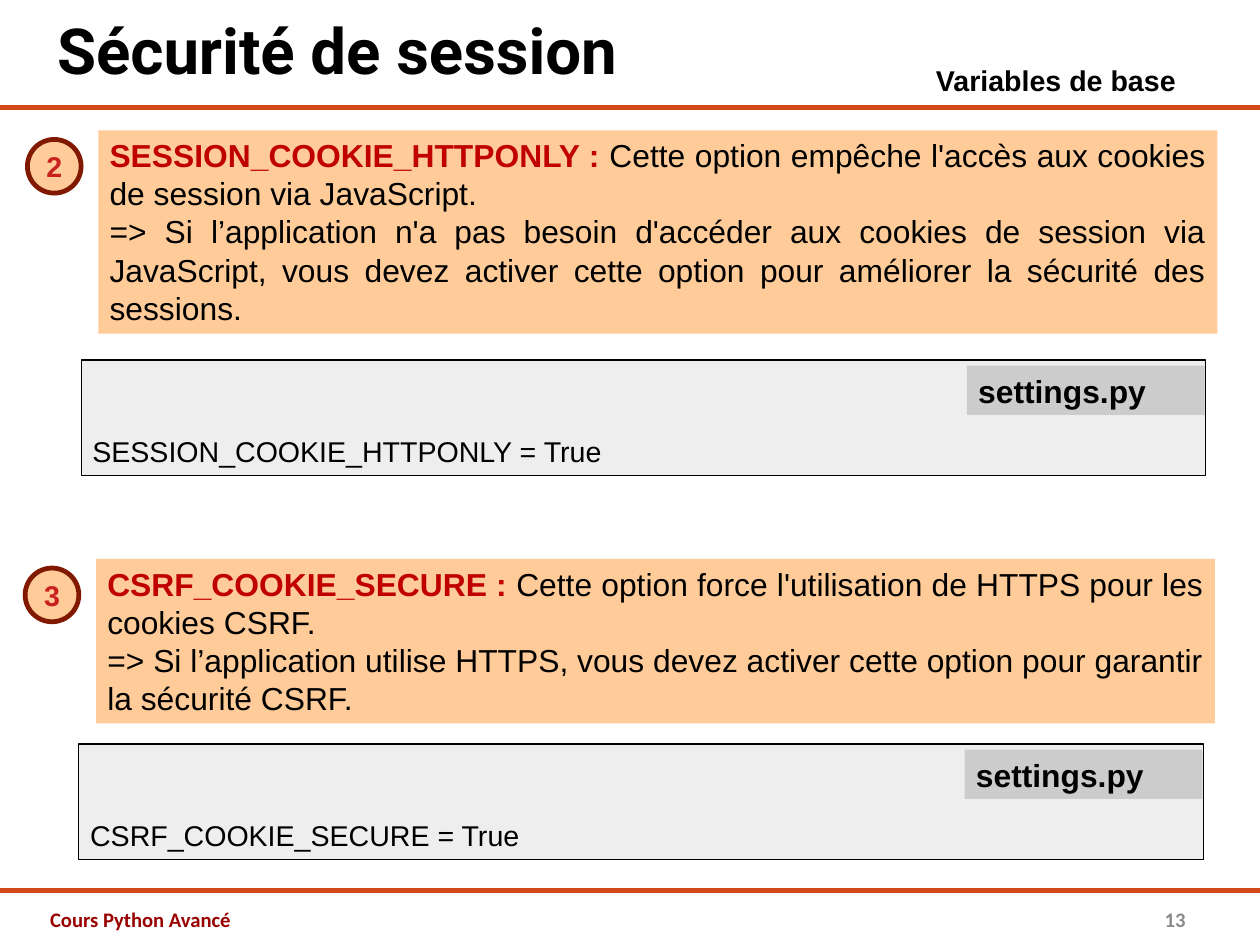
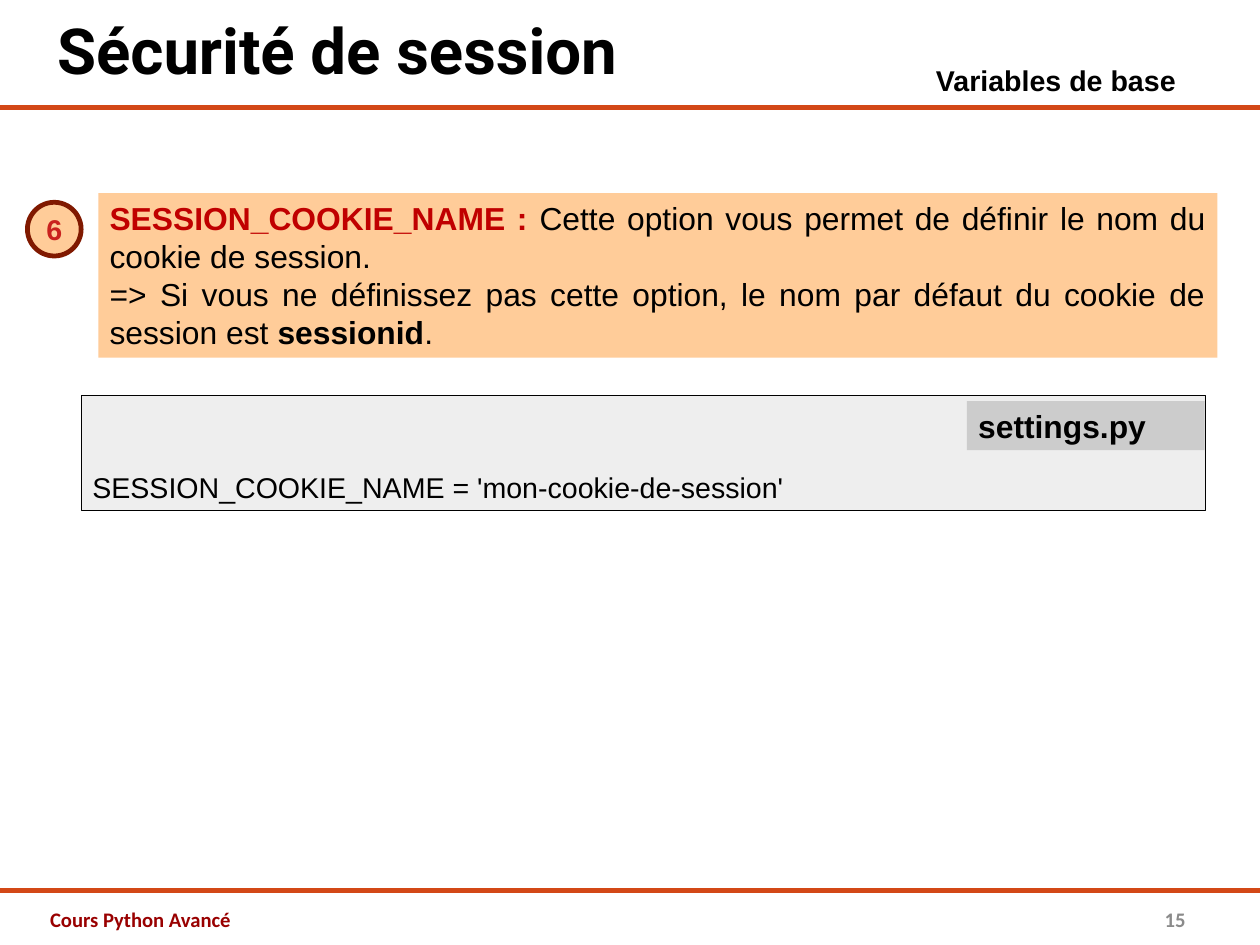
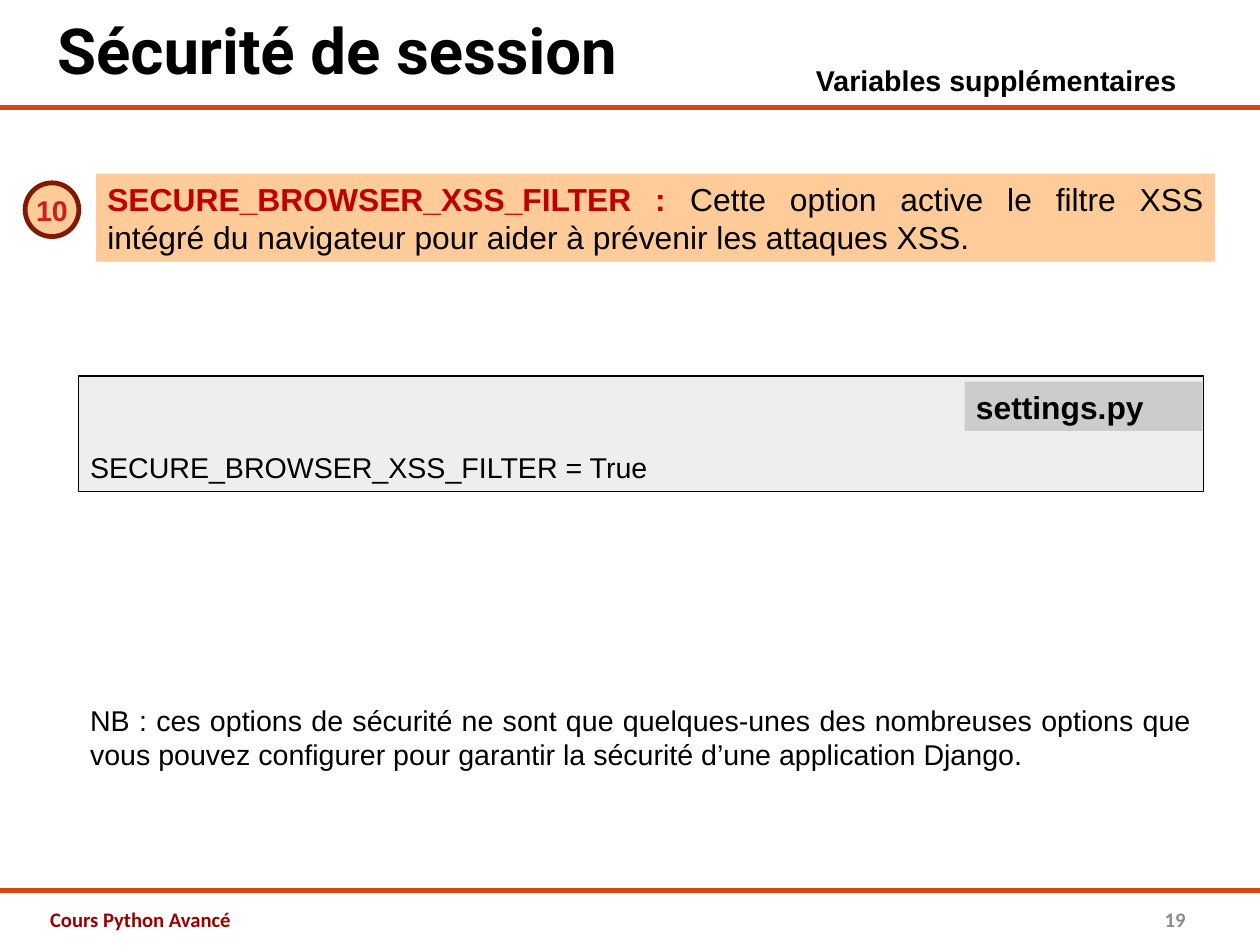
from lxml import etree
from pptx import Presentation
from pptx import util as u
from pptx.dml.color import RGBColor
from pptx.enum import shapes, text
from pptx.oxml import ns

INCH = u.Inches
ALIGN = text.PP_ALIGN
ANCHOR = text.MSO_ANCHOR


def tint(code):
    return RGBColor.from_string(code)


def write(frame, *paras, size=18, font="Arial", color="000000", bold=False,
          align=ALIGN.LEFT, anchor=ANCHOR.TOP, inset=(0.1, 0.05, 0.1, 0.05),
          wrap=True):
    frame.auto_size = text.MSO_AUTO_SIZE.NONE
    frame.word_wrap = wrap
    frame.vertical_anchor = anchor
    (frame.margin_left, frame.margin_top,
     frame.margin_right, frame.margin_bottom) = map(INCH, inset)
    for i, runs in enumerate(paras):
        para = frame.add_paragraph() if i else frame.paragraphs[0]
        para.alignment = align
        for part in [(runs, {})] if isinstance(runs, str) else runs:
            words, extra = part
            run = para.add_run()
            run.text = words
            run.font.size = u.Pt(size)
            run.font.name = font
            run.font.bold = extra.get("bold", bold)
            run.font.color.rgb = tint(extra.get("color", color))


class Deck:
    RUST = "D34817"
    PEACH = "FFCC99"
    MAROON = "801900"
    KEY = {"bold": True, "color": "C00000"}
    STRONG = {"bold": True}
    WIDE, HIGH = 28 / 2.54, 21 / 2.54

    def __init__(self):
        self.prs = Presentation()
        self.prs.slide_width = INCH(self.WIDE)
        self.prs.slide_height = INCH(self.HIGH)
        self.slide = None

    def page(self, number, topic, left, width):
        self.slide = self.prs.slides.add_slide(self.prs.slide_layouts[5])
        title = self.slide.shapes.title
        title.left, title.top, title.width, title.height = map(
            INCH, (0.4, -0.01, 9.55, 0.87))
        write(title.text_frame, "Sécurité de session", size=40, font="Roboto",
              bold=True, anchor=ANCHOR.BOTTOM, inset=(0.1, 0.05, 0.1, 0.1))
        for y in (0.94, 7.79):
            self.rule(y)
        foot = dict(size=13, font="Calibri", bold=True, anchor=ANCHOR.MIDDLE)
        self.label((0.34, 7.85, 3.49, 0.39), "Cours Python Avancé",
                   color="990000", **foot)
        self.label((7.9, 7.85, 2.57, 0.39), str(number), color="8B8B8B",
                   align=ALIGN.RIGHT, **foot)
        self.label((left, 0.5, width, 0.4), topic, bold=True)

    def rule(self, y):
        line = self.slide.shapes.add_connector(
            shapes.MSO_CONNECTOR.STRAIGHT, 0, INCH(y), INCH(self.WIDE), INCH(y))
        line.line.color.rgb = tint(self.RUST)
        line.line.width = u.Pt(3)
        etree.SubElement(line._element.spPr, ns.qn("a:effectLst"))

    def label(self, area, words, **style):
        box = self.slide.shapes.add_textbox(*map(INCH, area))
        write(box.text_frame, words, **style)

    def block(self, area, fill, *paras, kind=shapes.MSO_SHAPE.RECTANGLE,
              edge=None, weight=0, group=None, **style):
        home = (group or self.slide).shapes
        item = home.add_shape(kind, *map(INCH, area))
        item.shadow.inherit = False
        item.fill.solid()
        item.fill.fore_color.rgb = tint(fill)
        if edge:
            item.line.color.rgb = tint(edge)
            item.line.width = u.Pt(weight)
        else:
            item.line.fill.background()
        write(item.text_frame, *paras, **style)

    def badge(self, x, y, number):
        self.block((x, y, 0.47, 0.47), self.PEACH, str(number),
                   kind=shapes.MSO_SHAPE.OVAL, edge=self.MAROON, weight=3,
                   color="C9211E", bold=True, align=ALIGN.CENTER,
                   anchor=ANCHOR.MIDDLE, inset=(0.12, 0.07, 0.12, 0.07),
                   wrap=False)

    def code(self, x, y, line):
        group = self.slide.shapes.add_group_shape()
        self.block((x, y, 9.84, 1.01), "EEEEEE", line, edge="000000",
                   group=group, anchor=ANCHOR.BOTTOM,
                   inset=(0.1, 0.05, 0.1, 0.06))
        self.block((x + 7.75, y + 0.05, 2.08, 0.43), "CCCCCC", "settings.py",
                   group=group, size=20, bold=True, align=ALIGN.JUSTIFY)

    def option(self, x, y, height, number, name, value, code_y, about, *more):
        self.badge(x, y + 0.08, number)
        head = [(f"{name} :", self.KEY), (f" {about}", {})]
        self.block((x + 0.62, y, 9.79, height), self.PEACH, head, *more,
                   size=20, align=ALIGN.JUSTIFY)
        self.code(x + 0.47, code_y, f"{name} = {value}")


def main():
    deck = Deck()
    base = ("Variables de base", 8.09, 2.81)

    deck.page(13, *base)
    deck.option(
        0.24, 1.14, 1.78, 2, "SESSION_COOKIE_HTTPONLY", "True", 3.15,
        "Cette option empêche l'accès aux cookies de session via JavaScript.",
        "=> Si l’application n'a pas besoin d'accéder aux cookies de session "
        "via JavaScript, vous devez activer cette option pour améliorer la "
        "sécurité des sessions.")
    deck.option(
        0.22, 4.89, 1.44, 3, "CSRF_COOKIE_SECURE", "True", 6.51,
        "Cette option force l'utilisation de HTTPS pour les cookies CSRF.",
        "=> Si l’application utilise HTTPS, vous devez activer cette option "
        "pour garantir la sécurité CSRF.")

    deck.page(15, *base)
    deck.option(
        0.24, 1.69, 1.44, 6, "SESSION_COOKIE_NAME",
        "'mon-cookie-de-session'", 3.46,
        "Cette option vous permet de définir le nom du cookie de session.",
        [("=> Si vous ne définissez pas cette option, le nom par défaut du "
          "cookie de session est ", {}),
         ("sessionid", deck.STRONG), (".", {})])

    deck.page(19, "Variables supplémentaires", 7.04, 3.98)
    deck.option(
        0.22, 1.52, 0.77, 10, "SECURE_BROWSER_XSS_FILTER", "True", 3.29,
        "Cette option active le filtre XSS intégré du navigateur pour aider "
        "à prévenir les attaques XSS.")
    deck.label(
        (0.69, 6.1, 9.83, 1.01),
        "NB : ces options de sécurité ne sont que quelques-unes des "
        "nombreuses options que vous pouvez configurer pour garantir la "
        "sécurité d’une application Django.", align=ALIGN.JUSTIFY)

    deck.prs.save("out.pptx")


if __name__ == "__main__":
    main()
